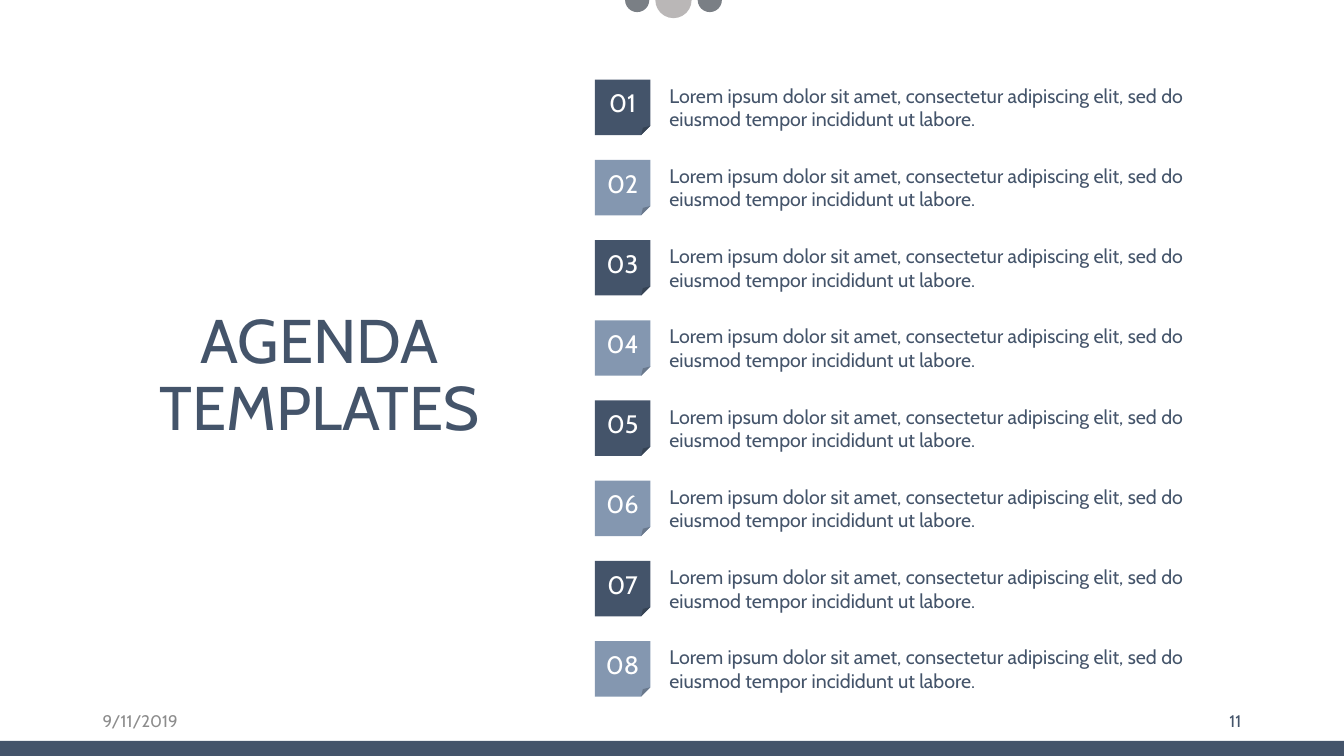
from dataclasses import dataclass

from lxml import etree
from pptx import Presentation
from pptx.dml.color import RGBColor
from pptx.enum.shapes import MSO_SHAPE
from pptx.enum.text import MSO_ANCHOR, MSO_AUTO_SIZE, PP_ALIGN
from pptx.oxml.ns import qn
from pptx.util import Inches, Pt

RECTANGLE, OVAL, FOLDED = MSO_SHAPE.RECTANGLE, MSO_SHAPE.OVAL, MSO_SHAPE.FOLDED_CORNER
LEFT, CENTER, RIGHT = PP_ALIGN.LEFT, PP_ALIGN.CENTER, PP_ALIGN.RIGHT
TOP, MIDDLE = MSO_ANCHOR.TOP, MSO_ANCHOR.MIDDLE
FIT_SHAPE, NO_FIT = MSO_AUTO_SIZE.SHAPE_TO_FIT_TEXT, MSO_AUTO_SIZE.NONE

TITLE = "AGENDA TEMPLATES"
DATE = "9/11/2019"
PAGE = "11"
AGENDA = ["Lorem ipsum dolor sit amet, consectetur adipiscing elit, "
          "sed do eiusmod tempor incididunt ut labore."] * 8


@dataclass(frozen=True)
class Theme:
    font: str = "Cabin"
    navy: str = "44546A"
    steel: str = "8497B0"
    ink: str = "222A35"
    silver: str = "AFABAB"
    grey: str = "8C8C8C"
    white: str = "FFFFFF"
    title_size: int = 44
    number_size: int = 18
    body_size: int = 14
    footer_size: int = 12


THEME = Theme()

SLIDE_W, SLIDE_H = 13.33, 7.5
BAR_H = 0.02 * SLIDE_H
FOOTER_TOP, FOOTER_W, FOOTER_H = 6.95, 3, 0.4
SIDE_MARGIN = 0.92

BADGE_LEFT, BADGE = 5.9, 0.55
FIRST_TOP, LAST_TOP = 0.79, 6.36
ROW_PITCH = (LAST_TOP - FIRST_TOP) / (len(AGENDA) - 1)
ITEM_LEFT, ITEM_W, ITEM_H = 6.64, 5.64, 0.47

# centre across the slide, diameter, colour, opacity in percent
DOTS = [(6.32, 0.24, THEME.ink, 60),
        (7.04, 0.24, THEME.ink, 60),
        (6.68, 0.36, THEME.silver, 85)]


def inches(*lengths):
    return [Inches(length) for length in lengths]


def add_filled(shapes, kind, box, color, opacity=100):
    shape = shapes.add_shape(kind, *inches(*box))
    shape.shadow.inherit = False
    shape.line.fill.background()
    shape.fill.solid()
    shape.fill.fore_color.rgb = RGBColor.from_string(color)
    if opacity < 100:
        tint = shape.fill._xPr.find(qn("a:solidFill"))[0]
        etree.SubElement(tint, qn("a:alpha")).set("val", str(opacity * 1000))
    return shape


def write(shape, text, *, size, color=THEME.navy, align=LEFT, anchor=TOP,
          spacing=None, inset=None, fit=NO_FIT):
    frame = shape.text_frame
    frame.word_wrap = True
    frame.auto_size = fit
    frame.vertical_anchor = anchor
    if inset is not None:
        frame.margin_left = frame.margin_right = Inches(inset)
        frame.margin_top = frame.margin_bottom = Inches(inset)
    frame.text = text
    paragraph = frame.paragraphs[0]
    paragraph.alignment = align
    if spacing:
        paragraph.line_spacing = spacing
    font = paragraph.runs[0].font
    font.name = THEME.font
    font.size = Pt(size)
    font.color.rgb = RGBColor.from_string(color)


def add_text(shapes, box, text, **style):
    write(shapes.add_textbox(*inches(*box)), text, **style)


def add_title(slide):
    title = slide.shapes.title
    title.left, title.top, title.width, title.height = inches(1.28, 3.03, 3.78, 1.43)
    write(title, TITLE, size=THEME.title_size, align=CENTER, spacing=0.9, fit=FIT_SHAPE)


def add_frame(shapes):
    """Footer texts, bottom bar and the dots that hang from the top edge."""
    add_text(shapes, (SIDE_MARGIN, FOOTER_TOP, FOOTER_W, FOOTER_H), DATE,
             size=THEME.footer_size, color=THEME.grey, anchor=MIDDLE)
    page_left = SLIDE_W - SIDE_MARGIN - FOOTER_W
    add_text(shapes, (page_left, FOOTER_TOP, FOOTER_W, FOOTER_H), PAGE,
             size=THEME.footer_size, align=RIGHT, anchor=MIDDLE)
    add_filled(shapes, RECTANGLE, (0, SLIDE_H - BAR_H, SLIDE_W, BAR_H), THEME.navy)
    dots = shapes.add_group_shape().shapes
    for center, diameter, color, opacity in DOTS:
        radius = diameter / 2
        add_filled(dots, OVAL, (center - radius, -radius, diameter, diameter),
                   color, opacity)


def add_agenda(shapes):
    badge_colors = (THEME.navy, THEME.steel)
    for row, item in enumerate(AGENDA):
        top = FIRST_TOP + row * ROW_PITCH
        badge = add_filled(shapes, FOLDED, (BADGE_LEFT, top, BADGE, BADGE),
                           badge_colors[row % 2])
        write(badge, f"{row + 1:02}", size=THEME.number_size, color=THEME.white,
              align=CENTER, anchor=MIDDLE)
        item_top = top + (BADGE - ITEM_H) / 2
        add_text(shapes, (ITEM_LEFT, item_top, ITEM_W, ITEM_H), item,
                 size=THEME.body_size, inset=0, fit=FIT_SHAPE)


def main():
    deck = Presentation()
    deck.slide_width, deck.slide_height = inches(SLIDE_W, SLIDE_H)
    slide = deck.slides.add_slide(deck.slide_layouts.get_by_name("Title Only"))
    add_title(slide)
    add_frame(slide.shapes)
    add_agenda(slide.shapes)
    deck.save("out.pptx")


if __name__ == "__main__":
    main()
